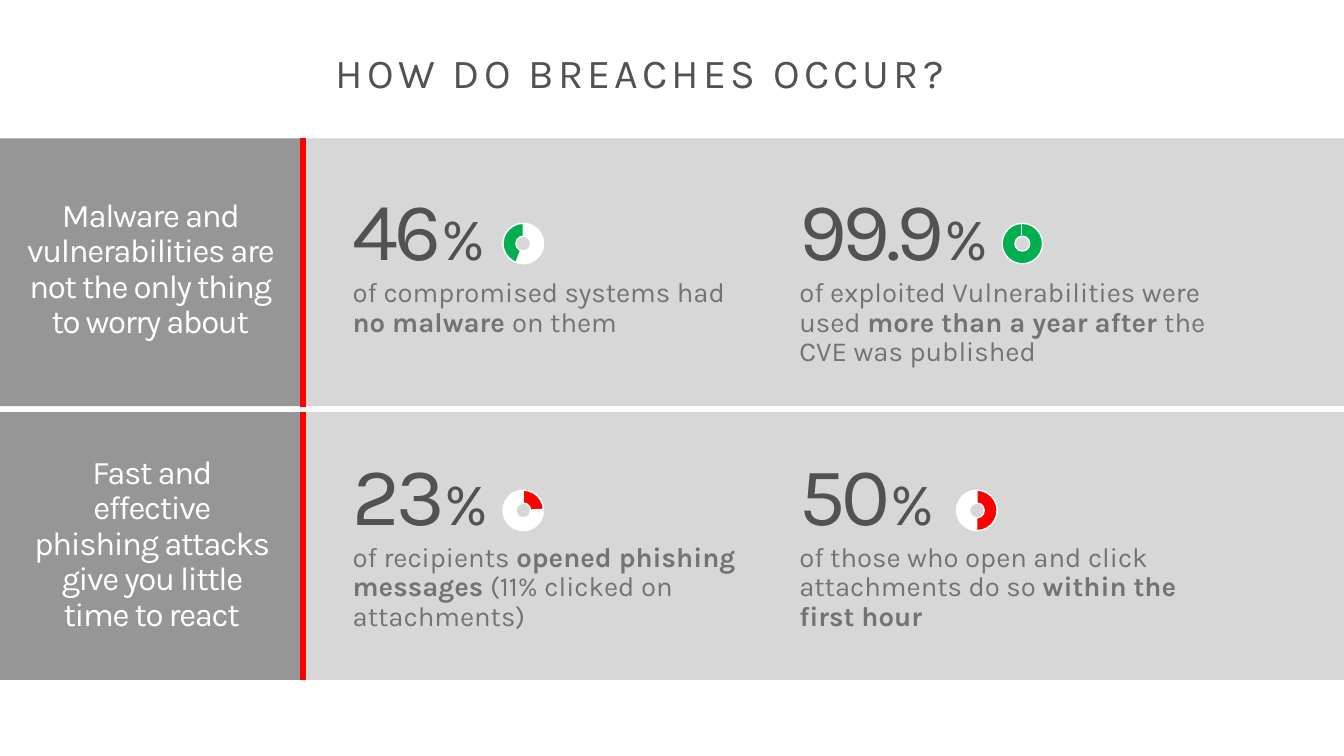
from pptx import Presentation
from pptx.dml.color import RGBColor
from pptx.enum.shapes import MSO_CONNECTOR, MSO_SHAPE
from pptx.enum.text import MSO_ANCHOR, MSO_AUTO_SIZE, PP_ALIGN
from pptx.oxml.ns import qn
from pptx.util import Inches, Pt
from lxml.etree import SubElement

COLS, ROWS = 136, 76.5
DARK, BODY, WHITE = "525252", "737373", "FFFFFF"
LABEL_FILL, PANEL, RED, GREEN = "969696", "D7D7D7", "FF0000", "00B050"


def rgb(value):
    return RGBColor.from_string(value)


def add_text(p, text, size=20, color=BODY, bold=False, spacing=0):
    r = p.add_run()
    r.text = text
    r.font.name = "Karla"
    r.font.size = Pt(size)
    r.font.bold = bold
    r.font.color.rgb = rgb(color)
    r._r.get_or_add_rPr().set("spc", str(round(spacing * 100)))


class BreachSlide:
    def __init__(self, prs):
        self.col = prs.slide_width / COLS
        self.row = prs.slide_height / ROWS
        self.s = prs.slides.add_slide(prs.slide_layouts[5])

    def box(self, x, y, w, h):
        return [round(v) for v in (x * self.col, y * self.row, w * self.col, h * self.row)]

    def frame(self, sp, anchor, insets):
        tf = sp.text_frame
        tf.word_wrap = True
        tf.auto_size = MSO_AUTO_SIZE.NONE
        tf.vertical_anchor = anchor
        tf.margin_left = tf.margin_right = Inches(insets[0])
        tf.margin_top = tf.margin_bottom = Inches(insets[1])
        tf.paragraphs[0].line_spacing = 0.9
        return tf

    def title(self, text, x, y, w, h):
        sp = self.s.shapes.title
        sp.left, sp.top, sp.width, sp.height = self.box(x, y, w, h)
        p = self.frame(sp, MSO_ANCHOR.MIDDLE, (0.16, 0.1)).paragraphs[0]
        p.alignment = PP_ALIGN.CENTER
        add_text(p, text, size=30, color=DARK, spacing=3)

    def shape(self, kind, x, y, w, h, fill, line=None, width=1):
        sp = self.s.shapes.add_shape(kind, *self.box(x, y, w, h))
        sp.shadow.inherit = False
        sp.fill.solid()
        sp.fill.fore_color.rgb = rgb(fill)
        if line:
            sp.line.color.rgb = rgb(line)
            sp.line.width = Pt(width)
        else:
            sp.line.fill.background()
        return sp

    def band(self, y):
        self.shape(MSO_SHAPE.RECTANGLE, 30.1, y, 105.9, 27.1, PANEL)
        self.shape(MSO_SHAPE.RECTANGLE, 0, y, 30.4, 27.1, LABEL_FILL)
        self.shape(MSO_SHAPE.RECTANGLE, 30.4, y, 0.5, 27.1, RED, RED, 0.75)

    def label(self, text, x, y, w, h):
        sp = self.s.shapes.add_textbox(*self.box(x, y, w, h))
        p = self.frame(sp, MSO_ANCHOR.MIDDLE, (0.16, 0.1)).paragraphs[0]
        p.alignment = PP_ALIGN.CENTER
        add_text(p, text, size=24, color=WHITE, spacing=-1)

    def stat(self, number, lines, x, y, w):
        sp = self.s.shapes.add_textbox(*self.box(x, y, w, 18.2))
        tf = self.frame(sp, MSO_ANCHOR.TOP, (0.1, 0))
        p = tf.paragraphs[0]
        add_text(p, number, size=60, color=DARK, spacing=-3.1)
        add_text(p, "%", size=44, color=DARK, spacing=-3.1)
        p = tf.add_paragraph()
        p.line_spacing = 0.9
        for i, line in enumerate(lines):
            if i:
                p.add_line_break()
            for text, bold in line:
                add_text(p, text, bold=bold)

    def ring(self, x, y, fill, angles=None):
        self.shape(MSO_SHAPE.OVAL, x, y, 4.1, 4.1, WHITE if angles else fill, WHITE)
        if angles:
            pie = self.shape(MSO_SHAPE.PIE, x, y, 4.1, 4.1, fill, WHITE)
            for i, degrees in enumerate(angles):
                pie.adjustments[i] = degrees * 0.6
        self.shape(MSO_SHAPE.OVAL, x + 1.3, y + 1.3, 1.5, 1.5, PANEL, WHITE)

    def line(self, x, y, x2, y2, color, width):
        c = self.s.shapes.add_connector(MSO_CONNECTOR.STRAIGHT, *self.box(x, y, x2, y2))
        c.line.color.rgb = rgb(color)
        c.line.width = Pt(width)
        SubElement(c._element.spPr, qn("a:effectLst"))


def main():
    prs = Presentation()
    prs.slide_width, prs.slide_height = Inches(13.6), Inches(7.65)
    slide = BreachSlide(prs)
    slide.title("HOW DO BREACHES OCCUR?", 0, 4.3, 129.6, 6.7)
    for y in (14, 41.7):
        slide.band(y)

    slide.label("Malware and vulnerabilities are not the only thing to worry about",
                0, 22.4, 30.4, 9.8)
    slide.label("Fast and effective phishing attacks give you little time to react",
                1.7, 50.2, 27.3, 9.8)

    left, right, top, bottom = 34.7, 79.9, 19.2, 46
    stats = [
        ("46", left, top, 47, [[("of compromised systems had", False)],
                               [("no malware ", True), ("on them", False)]]),
        ("99.9", right, top, 47, [[("of exploited Vulnerabilities were used ", False),
                                   ("more than a year after ", True),
                                   ("the CVE was published", False)]]),
        ("23", left, bottom, 44.5, [[("of recipients ", False),
                                     ("opened phishing messages", True),
                                     (" (11% clicked on attachments)", False)]]),
        ("50", right, bottom, 47, [[("of those who open and click attachments do so ", False),
                                    ("within the", True)],
                                   [("first hour", True)]]),
    ]
    for number, x, y, w, lines in stats:
        slide.stat(number, lines, x, y, w)

    rings = [
        (50.9, 22.6, GREEN, (110.88, 270)),
        (101.4, 22.6, GREEN, None),
        (50.9, 49.6, RED, (270.09, 356.97)),
        (96.8, 49.6, RED, (270.09, 90.42)),
    ]
    for x, y, fill, angles in rings:
        slide.ring(x, y, fill, angles)
    slide.line(103.4, 22.6, 103.4, 23.8, WHITE, 0.75)
    prs.save("out.pptx")


if __name__ == "__main__":
    main()
